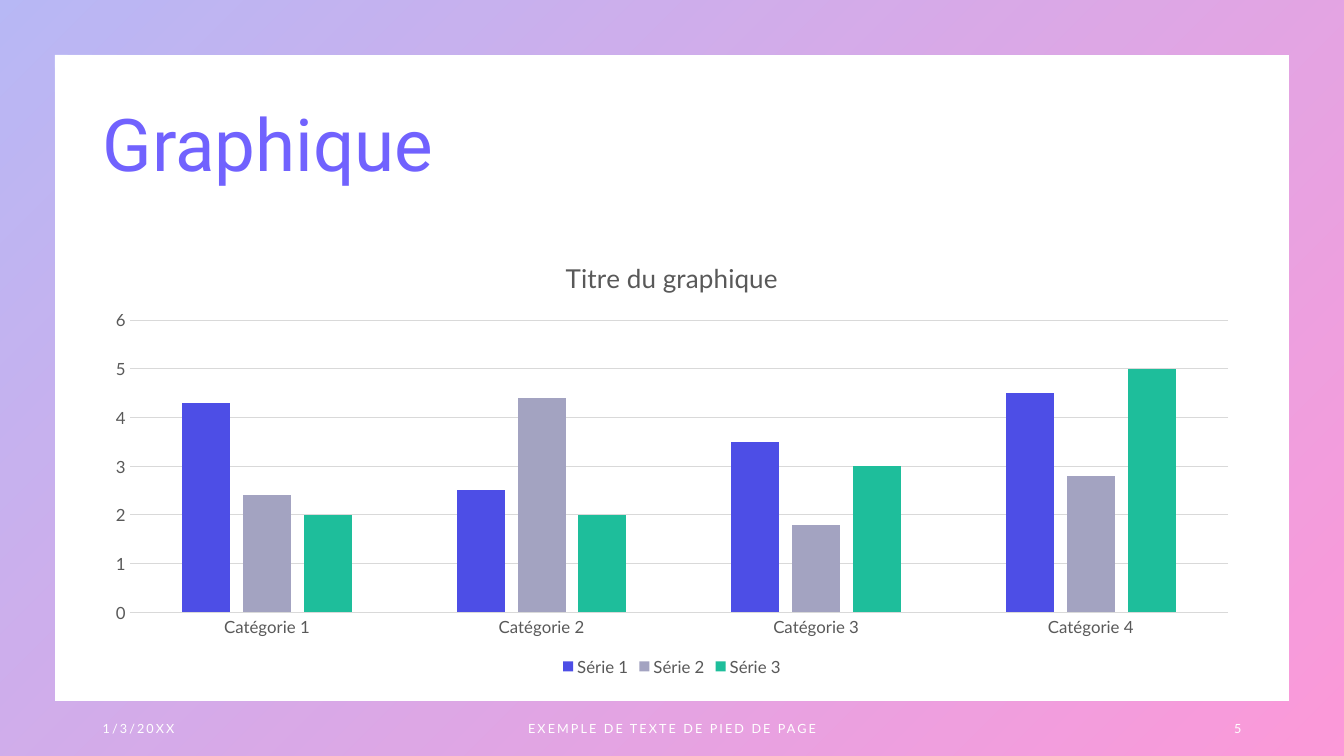
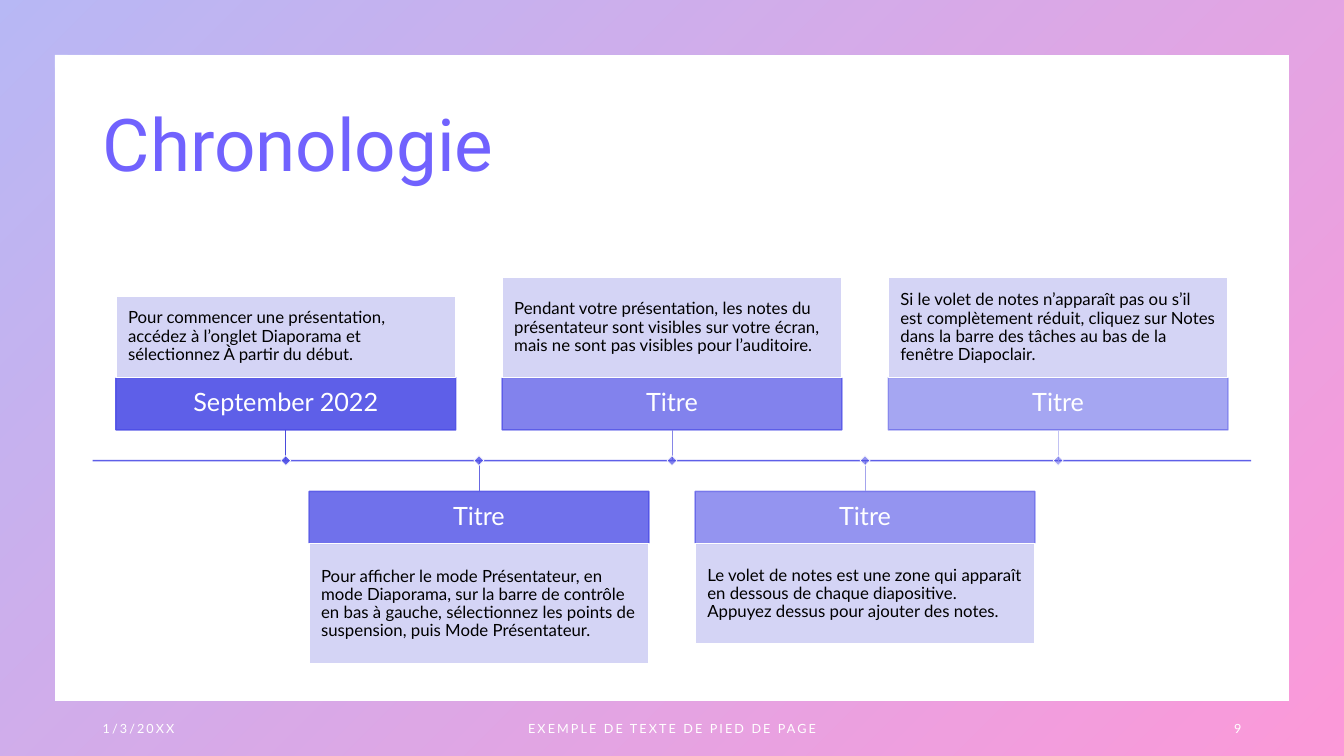
from dataclasses import dataclass

from lxml.etree import SubElement
from pptx import Presentation
from pptx.chart.data import CategoryChartData
from pptx.dml.color import RGBColor
from pptx.enum.chart import XL_CHART_TYPE, XL_LEGEND_POSITION, XL_TICK_MARK
from pptx.enum.shapes import MSO_CONNECTOR, MSO_SHAPE
from pptx.enum.text import MSO_ANCHOR, PP_ALIGN
from pptx.oxml.ns import qn
from pptx.util import Inches, Pt

LEFT, CENTER, RIGHT = PP_ALIGN.LEFT, PP_ALIGN.CENTER, PP_ALIGN.RIGHT
MIDDLE = MSO_ANCHOR.MIDDLE
RECTANGLE, FRAME = MSO_SHAPE.RECTANGLE, MSO_SHAPE.FRAME
STRAIGHT = MSO_CONNECTOR.STRAIGHT
CLUSTERED = XL_CHART_TYPE.COLUMN_CLUSTERED
LEGEND_BOTTOM = XL_LEGEND_POSITION.BOTTOM
NO_TICK = XL_TICK_MARK.NONE
TOP_SIDE, BOTTOM_SIDE = 0, 2


@dataclass(frozen=True)
class Theme:
    heading_font: str = "Roboto"
    body_font: str = "Lato"
    heading: str = "7162FE"
    accent: str = "4D4EE6"
    pink: str = "F900A0"
    white: str = "FFFFFF"
    black: str = "000000"
    note: str = "D0D0F5"
    chart_text: str = "595959"
    grid_line: str = "D9D9D9"
    series: tuple = ("4D4EE6", "A3A3C1", "1EBE9B")
    stems: tuple = ("4A4BDC", "6868E2", "8686E7", "A4A4ED", "C2C2F3")
    title_size: float = 52
    chart_title_size: float = 18.6
    label_size: float = 18
    body_size: float = 12
    footer_size: float = 9


WIDTH, HEIGHT = Inches(13.33), Inches(7.5)
COLUMNS, ROWS = 6, 30
MARGIN = Inches(0.92)
COLUMN = (WIDTH - 2 * MARGIN) / COLUMNS
ROW = HEIGHT / ROWS

FOOTER_DATE = "1/3/20XX"
FOOTER_TEXT = "EXEMPLE DE TEXTE DE PIED DE PAGE"

CATEGORIES = ["Catégorie 1", "Catégorie 2", "Catégorie 3", "Catégorie 4"]
SERIES = {
    "Série 1": (4.3, 2.5, 3.5, 4.5),
    "Série 2": (2.4, 4.4, 1.8, 2.8),
    "Série 3": (2, 2, 3, 5),
}

MILESTONES = [
    ("September 2022", 3.24,
     "Pour commencer une présentation, accédez à l’onglet Diaporama et "
     "sélectionnez À partir du début."),
    ("Titre", 4.76,
     "Pour afficher le mode Présentateur, en mode Diaporama, sur la barre de "
     "contrôle en bas à gauche, sélectionnez les points de suspension, puis "
     "Mode Présentateur."),
    ("Titre", 3.96,
     "Pendant votre présentation, les notes du présentateur sont visibles sur "
     "votre écran, mais ne sont pas visibles pour l’auditoire."),
    ("Titre", 3.96,
     "Le volet de notes est une zone qui apparaît en dessous de chaque "
     "diapositive. Appuyez dessus pour ajouter des notes."),
    ("Titre", 3.96,
     "Si le volet de notes n’apparaît pas ou s’il est complètement réduit, "
     "cliquez sur Notes dans la barre des tâches au bas de la fenêtre "
     "Diapoclair."),
]


def color(value):
    return RGBColor.from_string(value)


def fade(element, percent):
    for node in element.iter(qn("a:srgbClr")):
        SubElement(node, qn("a:alpha"), val=str(percent * 1000))


def style_font(font, name, size, value):
    font.name = name
    font.size = Pt(size)
    font.bold = False
    font.color.rgb = color(value)


def write(shape, text, *, font, size, fill, align=LEFT, line_spacing=None,
          tracking=None, inset=None):
    frame = shape.text_frame
    frame.word_wrap = True
    frame.vertical_anchor = MIDDLE
    if inset is not None:
        frame.margin_left = frame.margin_right = Inches(inset)
        frame.margin_top = frame.margin_bottom = Inches(inset)
    paragraph = frame.paragraphs[0]
    paragraph.alignment = align
    if line_spacing:
        paragraph.line_spacing = line_spacing
    run = paragraph.add_run()
    run.text = text
    style_font(run.font, font, size, fill)
    if tracking:
        run.font._element.set("spc", str(round(tracking * 100)))


def place(column, row, columns, rows):
    return (round(MARGIN + column * COLUMN), round(row * ROW),
            round(columns * COLUMN), round(rows * ROW))


class Deck:
    def __init__(self, theme):
        self.theme = theme
        self.presentation = Presentation()
        self.presentation.slide_width = WIDTH
        self.presentation.slide_height = HEIGHT
        self.slide = None

    def add_slide(self, title, number):
        theme = self.theme
        self.slide = self.presentation.slides.add_slide(
            self.presentation.slide_layouts[6])
        self.add_border()
        self.add_text(title, 0, 2.96, COLUMNS, 5.8, font=theme.heading_font,
                      size=theme.title_size, fill=theme.heading,
                      line_spacing=0.9)
        side, middle = 1.57, 2.35
        footers = (
            (FOOTER_DATE, 0, side, LEFT),
            (FOOTER_TEXT, (COLUMNS - middle) / 2, middle, CENTER),
            (number, COLUMNS - side, side, RIGHT),
        )
        for text, column, columns, align in footers:
            self.add_text(text, column, 28.12, columns, 1.6,
                          font=theme.body_font, size=theme.footer_size,
                          fill=theme.white, align=align, tracking=1.5)

    def add_border(self):
        border = self.slide.shapes.add_shape(FRAME, 0, 0, WIDTH, HEIGHT)
        border.adjustments[0] = 0.072
        border.shadow.inherit = False
        border.fill.gradient()
        border.fill.gradient_angle = 315
        stops = border.fill.gradient_stops
        for stop, value in zip(stops, (self.theme.accent, self.theme.pink)):
            stop.color.rgb = color(value)
        fade(border.element.spPr, 40)
        border.line.fill.background()

    def add_text(self, text, column, row, columns, rows, **style):
        box = self.slide.shapes.add_textbox(*place(column, row, columns, rows))
        write(box, text, **style)

    def add_box(self, bounds, fill, opacity, line, line_width,
                line_opacity=None):
        box = self.slide.shapes.add_shape(RECTANGLE, *bounds)
        box.shadow.inherit = False
        box.fill.solid()
        box.fill.fore_color.rgb = color(fill)
        fade(box.element.spPr, opacity)
        box.line.color.rgb = color(line)
        box.line.width = Pt(line_width)
        if line_opacity:
            fade(box.element.spPr.find(qn("a:ln")), line_opacity)
        return box

    def add_line(self, start, end, value, width, opacity=None):
        connector = self.slide.shapes.add_connector(
            STRAIGHT, *place(*start, 0, 0)[:2], *place(*end, 0, 0)[:2])
        connector.line.color.rgb = color(value)
        connector.line.width = Pt(width)
        if opacity:
            fade(connector.element.spPr, opacity)
        SubElement(connector.element.spPr, qn("a:effectLst"))
        return connector

    def add_milestone(self, index, axis_row, label, note_rows, note):
        theme = self.theme
        center, width, label_rows, gap = index + 1, 1.76, 2.08, 1.22
        left = center - width / 2
        opacity = 90 - 10 * index
        above = index % 2 == 0
        if above:
            label_row = axis_row - gap - label_rows
            note_row = label_row - note_rows
            box_edge, side = axis_row - gap, BOTTOM_SIDE
        else:
            label_row = axis_row + gap
            note_row = label_row + label_rows
            box_edge, side = label_row, TOP_SIDE
        label_box = self.add_box(place(left, label_row, width, label_rows),
                                 theme.accent, opacity, theme.accent, 1,
                                 opacity)
        write(label_box, label, font=theme.body_font, size=theme.label_size,
              fill=theme.white, align=CENTER, line_spacing=0.9, inset=0.1)
        note_box = self.add_box(place(left, note_row, width, note_rows),
                                theme.note, 90, theme.white, 1)
        write(note_box, note, font=theme.body_font, size=theme.body_size,
              fill=theme.black, line_spacing=0.9, inset=0.12)
        stem = self.add_line((center, box_edge), (center, axis_row),
                             theme.stems[index], 0.5)
        stem.begin_connect(label_box, side)
        x, y = place(center, axis_row, 0, 0)[:2]
        size = Inches(0.07)
        marker = self.add_box((x - size // 2, y - size // 2, size, size),
                              theme.accent, opacity, theme.white, 0.5)
        marker.rotation = 45

    def add_column_chart(self, title, categories, series, bounds):
        theme = self.theme
        data = CategoryChartData()
        data.categories = categories
        for name, values in series.items():
            data.add_series(name, values)
        chart = self.slide.shapes.add_chart(
            CLUSTERED, *place(*bounds), data).chart
        style_font(chart.font, theme.body_font, theme.body_size,
                   theme.chart_text)

        chart.has_title = True
        chart.chart_title.include_in_layout = False
        heading = chart.chart_title.text_frame
        heading.text = title
        style_font(heading.paragraphs[0].runs[0].font, theme.body_font,
                   theme.chart_title_size, theme.chart_text)

        chart.has_legend = True
        chart.legend.position = LEGEND_BOTTOM
        chart.legend.include_in_layout = False

        for axis in (chart.category_axis, chart.value_axis):
            axis.major_tick_mark = axis.minor_tick_mark = NO_TICK
        value_axis = chart.value_axis
        value_axis.minimum_scale, value_axis.maximum_scale = 0, 6
        value_axis.major_unit = 1
        value_axis.format.line.fill.background()
        value_axis.has_major_gridlines = True
        for target in (chart.category_axis, value_axis.major_gridlines):
            target.format.line.color.rgb = color(theme.grid_line)
            target.format.line.width = Pt(0.75)

        plot = chart.plots[0]
        plot.vary_by_categories = False
        plot.gap_width, plot.overlap = 219, -27
        for item, value in zip(plot.series, theme.series):
            item.format.fill.solid()
            item.format.fill.fore_color.rgb = color(value)


def main():
    deck = Deck(Theme())

    deck.add_slide("Graphique", "5")
    deck.add_column_chart("Titre du graphique", CATEGORIES, SERIES,
                          (0, 9.52, COLUMNS, 17.48))

    deck.add_slide("Chronologie", "9")
    axis_row = 18.28
    deck.add_line((0, axis_row), (COLUMNS, axis_row), deck.theme.accent, 1, 90)
    for index, milestone in enumerate(MILESTONES):
        deck.add_milestone(index, axis_row, *milestone)

    deck.presentation.save("out.pptx")


if __name__ == "__main__":
    main()
